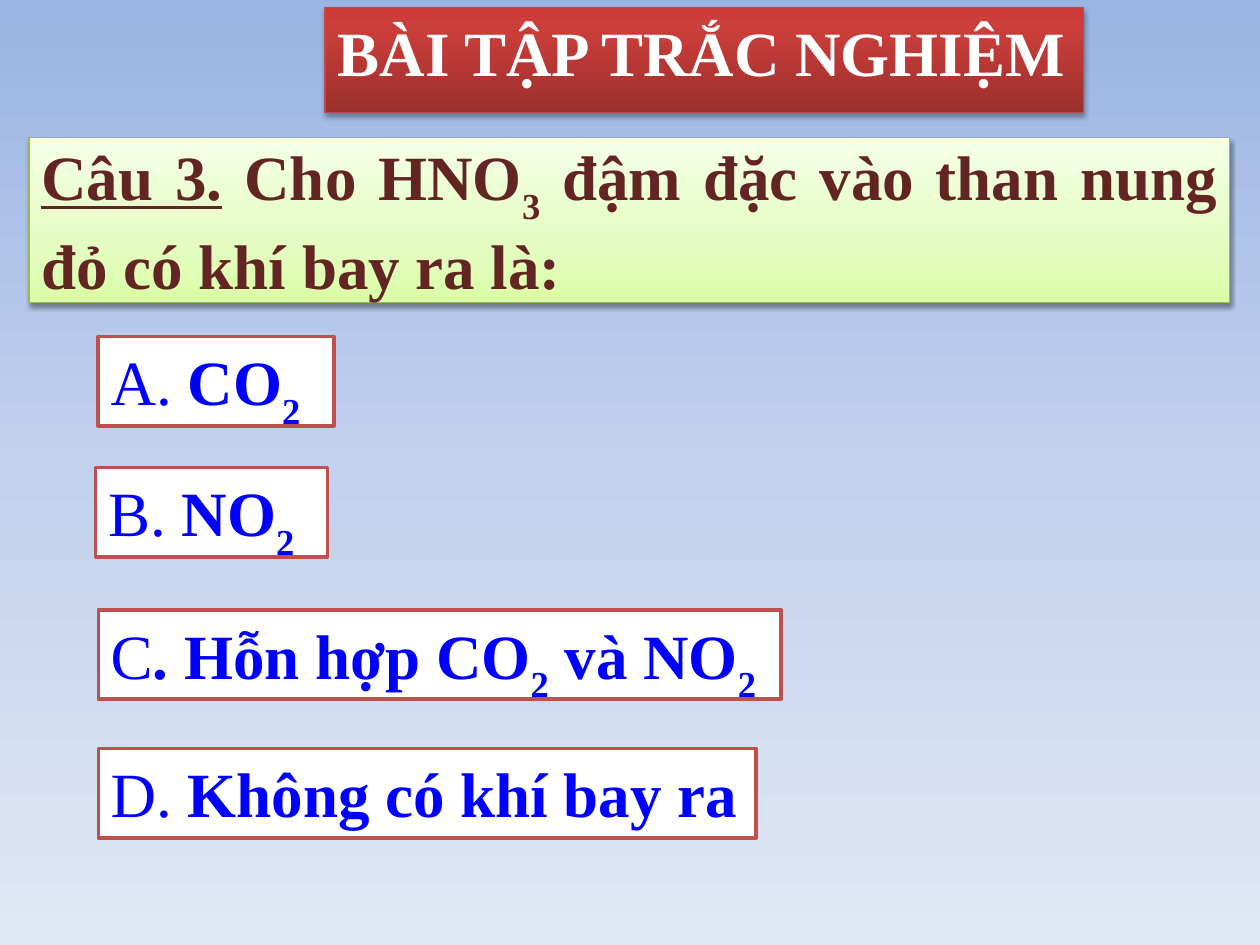
from dataclasses import dataclass

from lxml.etree import SubElement
from pptx import Presentation
from pptx.dml.color import RGBColor
from pptx.enum.shapes import MSO_SHAPE
from pptx.enum.text import MSO_ANCHOR, MSO_AUTO_SIZE, PP_ALIGN
from pptx.oxml.ns import qn
from pptx.util import Inches, Pt


@dataclass(frozen=True)
class Theme:
    font: str = "Times New Roman"
    size: int = 36
    sky: tuple = ((0, "9AB5E4"), (50, "C2D1ED"), (100, "E1E8F5"))
    red: tuple = ((0, "9C2F2D"), (80, "CB3E3A"), (100, "CE3B37"))
    green: tuple = ((0, "DAFDA7"), (35, "E4FCC2"), (100, "F5FFE7"))
    red_edge: str = "BF4C48"
    green_edge: str = "98B955"
    answer_edge: str = "C0504D"
    white: str = "FFFFFF"
    brown: str = "632523"
    blue: str = "0000FF"


THEME = Theme()
ANSWER_HEIGHT = 0.71
# Each run is (text, styles): b = bold, u = underlined, s = subscript.
QUESTION = [("Câu 3.", "bu"), (" Cho HNO", "b"), ("3", "bs"),
            (" đậm đặc vào than nung đỏ có khí bay ra là:", "b")]
# Left, top, width, runs
ANSWERS = [
    (0.78, 2.67, 1.87, [("A. ", ""), ("CO", "b"), ("2", "bs")]),
    (0.76, 3.71, 1.84, [("B. ", ""), ("NO", "b"), ("2", "bs")]),
    (0.78, 4.84, 5.42, [("C", ""), (". Hỗn hợp CO", "b"), ("2", "bs"),
                        (" và NO", "b"), ("2", "bs")]),
    (0.78, 5.94, 5.22, [("D. ", ""), ("Không có khí bay ra", "b")]),
]


def set_gradient(owner, fill, stops, angle):
    fill.gradient()
    fill.gradient_angle = angle
    stop_list = owner.find(".//" + qn("a:gsLst"))
    for old in list(stop_list):
        stop_list.remove(old)
    for position, color in stops:
        stop = SubElement(stop_list, qn("a:gs"), pos=str(position * 1000))
        SubElement(stop, qn("a:srgbClr"), val=color)


def set_line(shape, color, width):
    shape.line.color.rgb = RGBColor.from_string(color)
    shape.line.width = Pt(width)
    shape.shadow.inherit = False


def add_shadow(shape, alpha, distance):
    effects = shape.element.find(".//" + qn("a:effectLst"))
    shadow = SubElement(effects, qn("a:outerShdw"), blurRad=str(Pt(3.1)),
                        dist=str(Pt(distance)), dir="5400000", rotWithShape="0")
    black = SubElement(shadow, qn("a:srgbClr"), val="000000")
    SubElement(black, qn("a:alpha"), val=str(alpha * 1000))


def write(shape, runs, color, align=PP_ALIGN.LEFT, anchor=MSO_ANCHOR.TOP):
    frame = shape.text_frame
    frame.word_wrap = True
    frame.auto_size = MSO_AUTO_SIZE.SHAPE_TO_FIT_TEXT
    frame.vertical_anchor = anchor
    paragraph = frame.paragraphs[0]
    paragraph.alignment = align
    paragraph.font.name = THEME.font
    paragraph.font.size = Pt(THEME.size)
    paragraph.font.color.rgb = RGBColor.from_string(color)
    for text, styles in runs:
        run = paragraph.add_run()
        run.text = text
        run.font.bold = "b" in styles
        run.font.underline = "u" in styles
        if "s" in styles:
            run.font._element.set("baseline", "-30000")


def add_box(slide, box):
    return slide.shapes.add_shape(MSO_SHAPE.RECTANGLE, *map(Inches, box))


def place_title(slide, box):
    title = slide.shapes.title
    title.left, title.top, title.width, title.height = map(Inches, box)
    set_gradient(title.element, title.fill, THEME.red, 90)
    set_line(title, THEME.red_edge, 0.75)
    add_shadow(title, 35, 1.8)
    write(title, [("BÀI TẬP TRẮC NGHIỆM", "b")], THEME.white)


def add_question(slide, box):
    question = add_box(slide, box)
    set_gradient(question.element, question.fill, THEME.green, 90)
    set_line(question, THEME.green_edge, 0.75)
    add_shadow(question, 38, 1.6)
    write(question, QUESTION, THEME.brown, PP_ALIGN.JUSTIFY, MSO_ANCHOR.MIDDLE)


def add_answer(slide, box, runs):
    answer = add_box(slide, box)
    answer.fill.solid()
    answer.fill.fore_color.rgb = RGBColor.from_string(THEME.white)
    set_line(answer, THEME.answer_edge, 2)
    write(answer, runs, THEME.blue)


def main():
    prs = Presentation()
    prs.slide_width, prs.slide_height = Inches(10), Inches(7.5)
    slide = prs.slides.add_slide(prs.slide_layouts[5])
    set_gradient(slide.element, slide.background.fill, THEME.sky, 270)
    add_question(slide, (0.23, 1.09, 9.53, 1.31))
    place_title(slide, (2.58, 0.06, 6.02, 0.71))
    for left, top, width, runs in ANSWERS:
        add_answer(slide, (left, top, width, ANSWER_HEIGHT), runs)
    prs.save("out.pptx")


if __name__ == "__main__":
    main()
